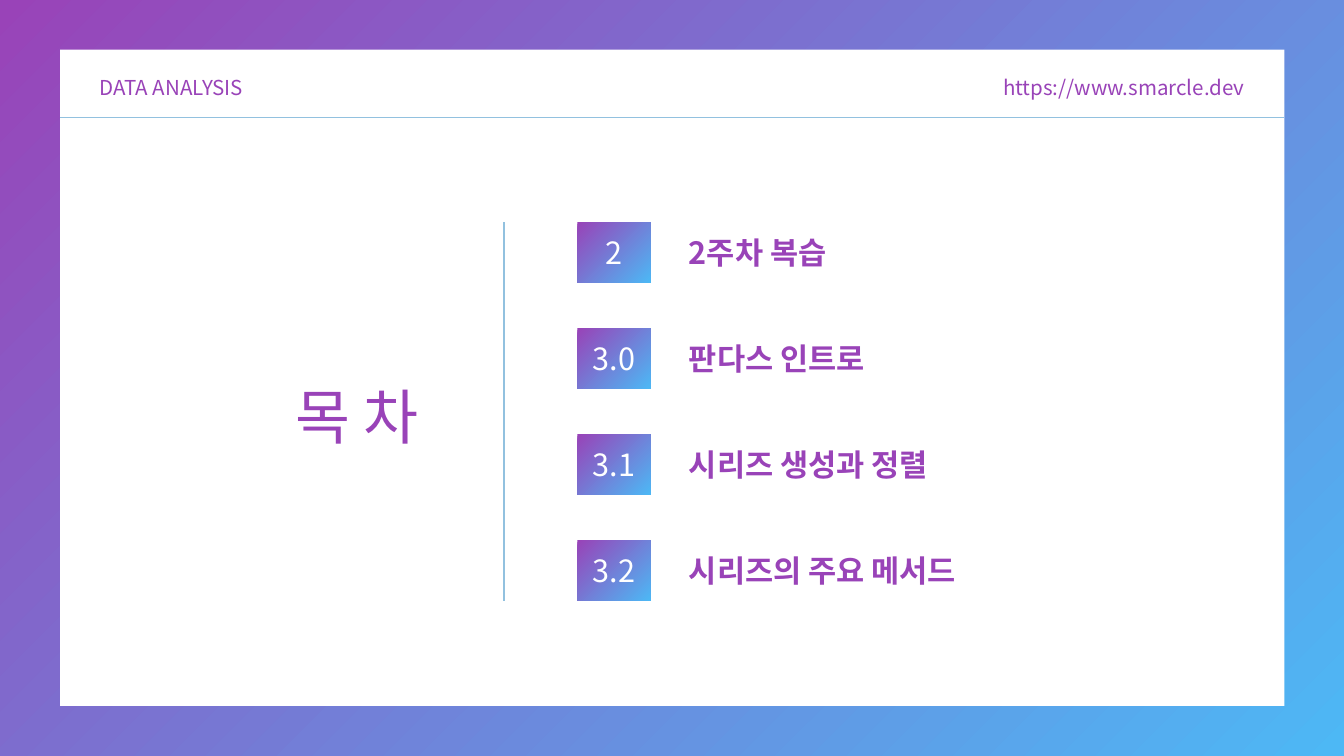
"""Builds the table-of-contents slide of a data analysis course."""
from lxml import etree
from pptx import Presentation
from pptx.dml.color import RGBColor
from pptx.enum.shapes import MSO_CONNECTOR, MSO_SHAPE
from pptx.enum.text import MSO_ANCHOR, MSO_AUTO_SIZE, PP_ALIGN
from pptx.oxml.ns import qn
from pptx.util import Cm, Pt

LEFT, CENTER, RIGHT = PP_ALIGN.LEFT, PP_ALIGN.CENTER, PP_ALIGN.RIGHT
TOP, MIDDLE = MSO_ANCHOR.TOP, MSO_ANCHOR.MIDDLE
RECTANGLE, STRAIGHT = MSO_SHAPE.RECTANGLE, MSO_CONNECTOR.STRAIGHT
FONT = "Noto Sans CJK KR"
PURPLE, BLUE, PALE_BLUE = "9943B8", "4DB8F5", "92C1DF"


def paint_gradient(fill):
    fill.gradient()
    fill.gradient_angle = 315
    for stop, color in zip(fill.gradient_stops, (PURPLE, BLUE)):
        stop.color.rgb = RGBColor.from_string(color)


def write(sp, text, size, spacing, align=LEFT, color=PURPLE, bold=False, anchor=TOP):
    tf = sp.text_frame
    tf.margin_left = tf.margin_right = tf.margin_top = tf.margin_bottom = 0
    tf.word_wrap = True
    tf.auto_size = MSO_AUTO_SIZE.NONE
    tf.vertical_anchor = anchor
    tf.text = text
    p = tf.paragraphs[0]
    p.alignment = align
    p.line_spacing = Pt(spacing)
    p.font.name = FONT
    p.font.size = Pt(size)
    p.font.bold = bold
    p.font.color.rgb = RGBColor.from_string(color)
    etree.SubElement(p._p.pPr.find(qn("a:defRPr")), qn("a:ea"), typeface=FONT)


prs = Presentation()
prs.slide_width, prs.slide_height = Cm(50.8), Cm(28.58)
s = prs.slides.add_slide(prs.slide_layouts[5])
paint_gradient(s.background.fill)

card = s.shapes.add_shape(RECTANGLE, Cm(2.27), Cm(1.88), Cm(46.28), Cm(24.81))
card.shadow.inherit = False
card.fill.solid()
card.fill.fore_color.rgb = RGBColor.from_string("FFFFFF")
card.line.fill.background()

for x1, y1, x2, y2 in [(2.27, 4.45, 48.55, 4.45), (19.05, 8.4, 19.05, 22.71)]:
    rule = s.shapes.add_connector(STRAIGHT, Cm(x1), Cm(y1), Cm(x2), Cm(y2))
    rule.line.color.rgb = RGBColor.from_string(PALE_BLUE)
    rule.line.width = Pt(1.5)
    etree.SubElement(rule._element.spPr, qn("a:effectLst"))

for x, width, text, align in [
    (3.76, 8.18, "DATA ANALYSIS", LEFT),
    (36.6, 10.44, "https://www.smarcle.dev", RIGHT),
]:
    header = s.shapes.add_textbox(Cm(x), Cm(2.69), Cm(width), Cm(1.07))
    write(header, text, 22, 30.8, align)

title = s.shapes.title
title.left, title.top, title.width, title.height = Cm(5.72), Cm(13.89), Cm(15.57), Cm(3.02)
write(title, "목 차", 64, 89.6, CENTER)
s.shapes._spTree.append(title._element)

chapters = [
    ("2", "2주차 복습"),
    ("3.0", "판다스 인트로"),
    ("3.1", "시리즈 생성과 정렬"),
    ("3.2", "시리즈의 주요 메서드"),
]
for i, (number, name) in enumerate(chapters):
    top = 8.4 + 4.01 * i
    badge = s.shapes.add_shape(RECTANGLE, Cm(21.82), Cm(top), Cm(2.77), Cm(2.29))
    badge.shadow.inherit = False
    paint_gradient(badge.fill)
    badge.line.fill.background()
    write(badge, number, 32.8, 39.3, CENTER, "FEFFFF", anchor=MIDDLE)
    label = s.shapes.add_textbox(Cm(26.04), Cm(top + 0.44), Cm(15.09), Cm(1.38))
    write(label, name, 32.8, 39.3, bold=True)

prs.save("out.pptx")
